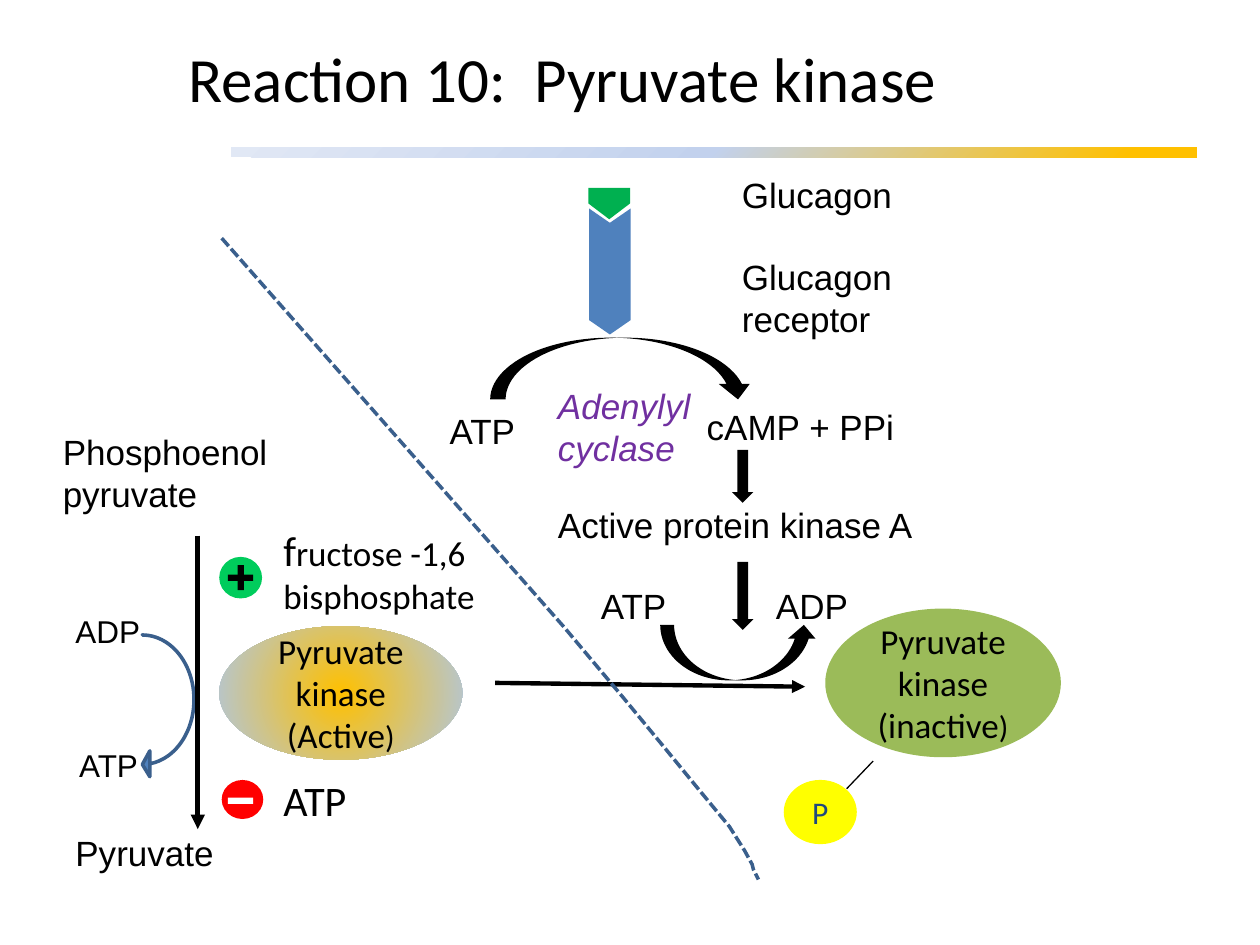
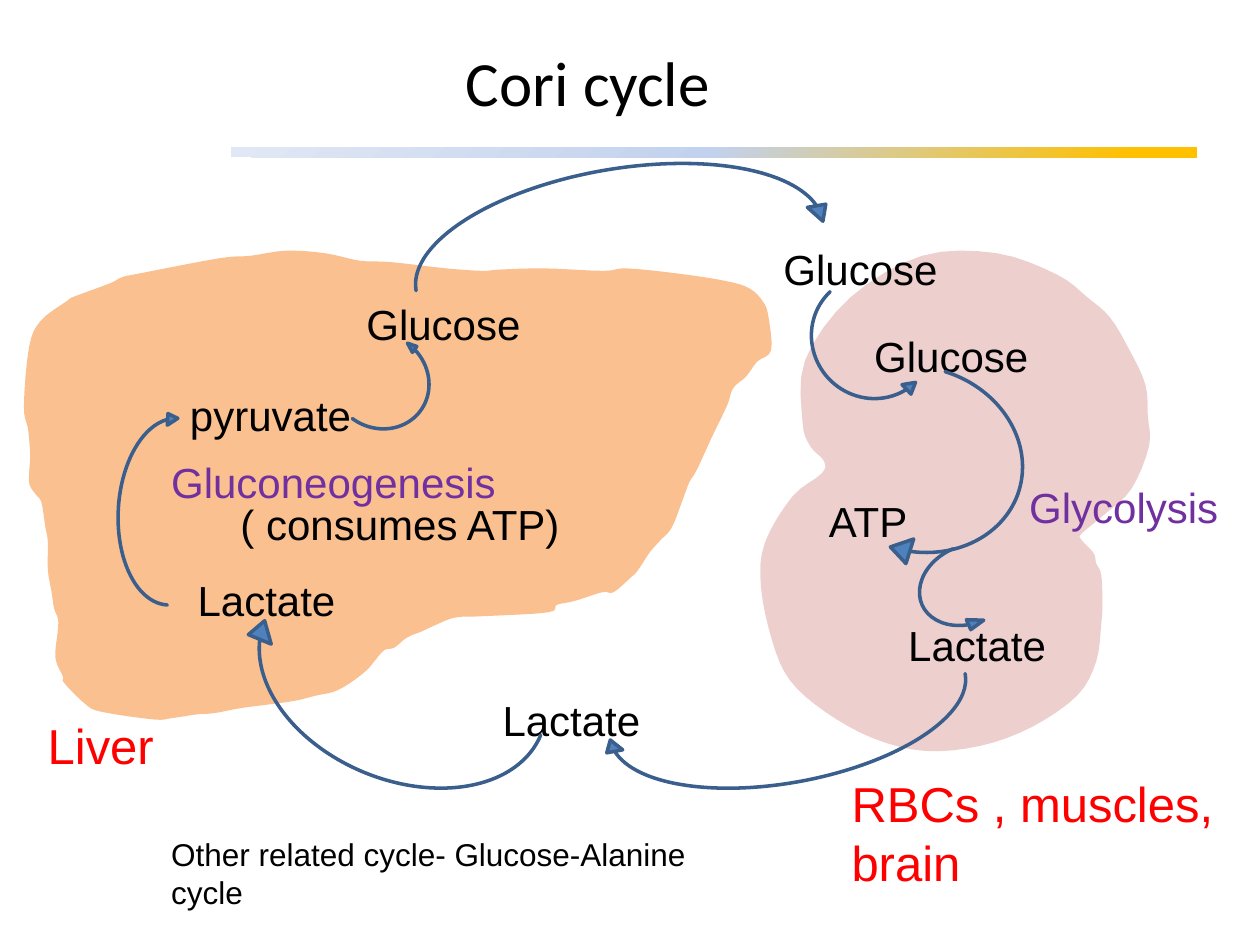
from typing import NamedTuple

from lxml.etree import SubElement
from pptx import Presentation
from pptx.dml.color import RGBColor as Rgb
from pptx.enum.dml import MSO_LINE as Dash
from pptx.enum.shapes import MSO_CONNECTOR as Link, MSO_SHAPE as Kind
from pptx.enum.text import MSO_ANCHOR as Anchor, PP_ALIGN as Align
from pptx.oxml import parse_xml
from pptx.oxml.ns import nsdecls, qn
from pptx.util import Emu, Pt

PX = 9144  # 100 px to the inch
HUE = {
    "black": "000000", "white": "FFFFFF", "red": "FF0000", "purple": "7030A0",
    "blue": "4F81BD", "navy": "3A5F8C", "ink": "1F497D", "green": "00B050",
    "lime": "00CC5C", "olive": "9BBB59", "yellow": "FFFF00", "gold": "FFC000",
    "mist": "C2D1ED", "pale": "E1E8F5", "steel": "B0C6E1",
    "liver": "FAC090", "muscle": "D99694",
}


class Label(NamedTuple):
    text: str
    x: int
    y: int
    w: int
    h: int
    size: int = 20
    color: str = "black"
    font: str = "Arial"
    italic: bool = False
    tail: str = ""
    tsize: int = 18


class Block(NamedTuple):
    kind: Kind
    x: int
    y: int
    w: int
    h: int
    fill: str = "black"
    rot: float = 0
    adj: tuple = ()
    flip: str = ""
    line: str = ""


class Line(NamedTuple):
    x1: int
    y1: int
    x2: int
    y2: int
    width: float
    head: bool = True


def arc(x: int, y: int, w: int, h: int, rot: float = 0, bend: float = 0.215,
        head: float = 0.187, flip: str = "", kind: Kind = Kind.CURVED_DOWN_ARROW) -> Block:
    """Thin curved arrow in the blue style."""
    return Block(kind, x, y, w, h, "blue", rot, (0, bend, head), flip, "navy")


def rgb(name: str) -> Rgb:
    return Rgb.from_string(HUE[name])


def px(*sizes: float) -> list:
    return [Emu(round(n * PX)) for n in sizes]


def put(frame, text: str, size: int = 20, color: str = "black", font: str = "Calibri",
        italic: bool = False, align: Align = Align.LEFT, anchor: Anchor = Anchor.TOP,
        tail: str = "", tsize: int = 18) -> None:
    """Write text, one paragraph a line, and a tail in its own size."""
    frame.word_wrap = True
    frame.vertical_anchor = anchor
    for i, row in enumerate(text.split("\n")):
        para = frame.paragraphs[0] if i == 0 else frame.add_paragraph()
        para.alignment = align
        for part, pts in ((row, size), (tail, tsize)):
            if not part:
                continue
            run = para.add_run()
            run.text = part
            run.font.name, run.font.size = font, Pt(pts)
            run.font.italic = italic
            run.font.color.rgb = rgb(color)


def note(slide, lab: Label) -> None:
    box = slide.shapes.add_textbox(*px(lab.x, lab.y, lab.w, lab.h))
    put(box.text_frame, lab.text, lab.size, lab.color, lab.font, lab.italic,
        tail=lab.tail, tsize=lab.tsize)


def draw(slide, item: Block):
    shape = slide.shapes.add_shape(item.kind, *px(item.x, item.y, item.w, item.h))
    shape.shadow.inherit = False
    shape.fill.solid()
    shape.fill.fore_color.rgb = rgb(item.fill)
    if item.line:
        shape.line.color.rgb = rgb(item.line)
        shape.line.width = Pt(2)
    else:
        shape.line.fill.background()
    for i, part in enumerate(item.adj):
        shape.adjustments[i] = part
    shape.rotation = item.rot
    for axis in item.flip:
        shape.element.spPr.xfrm.set("flip" + axis, "1")
    return shape


def blend(shape, stops: dict, left: int, right: int) -> None:
    """Replace the fill by a circular gradient around the given focus."""
    marks = "".join(f'<a:gs pos="{at * 1000}"><a:srgbClr val="{HUE[name]}"/></a:gs>'
                    for at, name in stops.items())
    a, b = left * 1000, right * 1000
    old = shape.element.spPr.find(qn("a:solidFill"))
    old.getparent().replace(old, parse_xml(
        f'<a:gradFill {nsdecls("a")}><a:gsLst>{marks}</a:gsLst><a:path path="circle">'
        f'<a:fillToRect l="{a}" t="{a}" r="{b}" b="{b}"/></a:path></a:gradFill>'))


def link(slide, item: Line) -> None:
    line = slide.shapes.add_connector(
        Link.STRAIGHT, *px(item.x1, item.y1, item.x2, item.y2))
    line.line.color.rgb = rgb("black")
    line.line.width = Pt(item.width)
    if item.head:
        SubElement(line.line._get_or_add_ln(), qn("a:tailEnd"), type="triangle")
    SubElement(line.element.spPr, qn("a:effectLst"))


def smooth(dots: list, steps: int = 4) -> list:
    """Closed Catmull-Rom curve through the dots."""
    out = []
    for i in range(len(dots)):
        ring = [dots[(i + k) % len(dots)] for k in (-1, 0, 1, 2)]
        for t in (s / steps for s in range(steps)):
            out.append(tuple(
                (2 * b + (c - a) * t + (2 * a - 5 * b + 4 * c - d) * t ** 2
                 + (3 * b - a - 3 * c + d) * t ** 3) / 2
                for a, b, c, d in zip(*ring)))
    return out


def trace(slide, dots: list, close: bool):
    first, *rest = [px(*dot) for dot in dots]
    pen = slide.shapes.build_freeform(*first, scale=1.0)
    pen.add_line_segments(rest, close=close)
    shape = pen.convert_to_shape()
    shape.shadow.inherit = False
    return shape


def organ(slide, dots: list, color: str, alpha: int = 100) -> None:
    shape = trace(slide, smooth(dots), True)
    shape.line.fill.background()
    shape.fill.solid()
    shape.fill.fore_color.rgb = rgb(color)
    if alpha < 100:
        tone = shape.element.spPr.find(qn("a:solidFill"))[0]
        SubElement(tone, qn("a:alpha"), val=str(alpha * 1000))


def start(deck, title: str, x: int, y: int, anchor: Anchor):
    """Add a slide with the title and the gradient band."""
    slide = deck.slides.add_slide(deck.slide_layouts[5])
    band = draw(slide, Block(Kind.RECTANGLE, 183, 117, 767, 8))
    blend(band, {7: "gold", 50: "mist", 100: "pale"}, 100, 0)
    head = slide.shapes.title
    head.left, head.top, head.width, head.height = px(x, y, 817, 125)
    put(head.text_frame, title, 36, align=Align.CENTER, anchor=anchor)
    return slide


BLOCKS = [
    Block(Kind.PENTAGON, 471, 145, 25, 33, "green", 90),
    Block(Kind.CHEVRON, 434, 199, 100, 33, "blue", 90, (0.346,)),
    Block(Kind.CURVED_DOWN_ARROW, 389, 268, 209, 49),
    Block(Kind.DOWN_ARROW, 581, 357, 17, 42),
    Block(Kind.DOWN_ARROW, 581, 446, 17, 54),
    Block(Kind.CURVED_UP_ARROW, 524, 496, 125, 44),
    arc(113, 504, 41, 113, bend=0.5, head=0.145, kind=Kind.CURVED_LEFT_ARROW),
    Block(Kind.OVAL, 174, 442, 34, 33, "lime"),
    Block(Kind.RECTANGLE, 181, 456, 20, 5),
    Block(Kind.RECTANGLE, 181, 456, 20, 5, rot=90),
    Block(Kind.OVAL, 176, 619, 33, 31, "red"),
    Block(Kind.RECTANGLE, 181, 633, 20, 5, "white"),
]
ACTIVE = Block(Kind.OVAL, 174, 497, 193, 106)
IDLE = Block(Kind.OVAL, 655, 483, 187, 118, "olive")
PHOS = Block(Kind.OVAL, 622, 619, 58, 51, "yellow")
LINES = [
    Line(393, 542, 639, 545, 2.5),
    Line(157, 425, 157, 658, 2.75),
    Line(672, 626, 693, 604, 0.75, False),
]
SPLIT = [(176, 189), (448, 498), (495, 554), (528, 594), (555, 627), (579, 656),
         (591, 675), (597, 686), (598, 690), (602, 698)]
STEPS = [
    Label("ATP", 347, 320, 76, 44),
    Label("cAMP + PPi", 551, 317, 175, 44),
    Label("Active protein kinase A", 433, 395, 324, 44),
    Label("Phosphoenol pyruvate", 40, 337, 204, 77),
    Label("Pyruvate", 50, 655, 204, 44),
    Label("ADP", 50, 481, 77, 40, 18),
    Label("ATP", 53, 587, 77, 40, 18),
    Label("Glucagon receptor", 579, 198, 186, 77),
    Label("Glucagon", 579, 133, 153, 44),
    Label("Adenylyl\ncyclase", 433, 300, 137, 77, color="purple", italic=True),
    Label("ATP", 467, 459, 72, 44),
    Label("ADP", 606, 459, 99, 44),
    Label("f", 215, 411, 193, 84, 24, font="Calibri",
          tail="ructose -1,6 bisphosphate", tsize=20),
    Label("ATP", 215, 610, 193, 50, 24, font="Calibri"),
]

LIVER = [
    (258, 201), (227, 199), (199, 203), (174, 205), (111, 217), (97, 220), (87, 225),
    (60, 235), (53, 239), (32, 255), (23, 276), (19, 322), (22, 339), (23, 347),
    (24, 362), (23, 378), (24, 386), (29, 393), (33, 399), (36, 418), (38, 430),
    (38, 452), (41, 470), (43, 483), (46, 491), (46, 500), (44, 522), (50, 537),
    (51, 542), (68, 559), (81, 565), (122, 571), (136, 570), (156, 567), (170, 566),
    (191, 562), (214, 559), (235, 556), (251, 552), (265, 549), (278, 542), (291, 532),
    (297, 525), (305, 516), (313, 514), (323, 506), (335, 501), (348, 495), (362, 490),
    (385, 489), (435, 486), (442, 480), (456, 477), (478, 470), (487, 470), (501, 458),
    (506, 453), (516, 438), (524, 429), (533, 419), (541, 399), (547, 383), (553, 373),
    (565, 347), (577, 322), (582, 308), (592, 299), (601, 287), (612, 278), (610, 252),
    (606, 240), (595, 229), (576, 223), (537, 217), (497, 213), (479, 215), (432, 213),
    (396, 214), (383, 215), (354, 213), (310, 208), (286, 207),
]
MUSCLE = [
    (791, 201), (732, 203), (675, 236), (639, 286), (637, 335), (643, 354), (654, 366),
    (652, 376), (629, 394), (607, 431), (604, 466), (613, 509), (627, 540), (655, 565),
    (693, 586), (734, 596), (778, 592), (819, 577), (855, 552), (870, 525), (874, 496),
    (875, 478), (874, 456), (870, 447), (868, 439), (858, 428), (859, 423), (877, 408),
    (898, 388), (912, 354), (911, 330), (909, 305), (896, 277), (881, 252), (863, 236),
    (839, 218),
]
ARCS = [
    arc(39, 381, 153, 43, 93.3, flip="HV"),
    arc(322, 134, 335, 69, 350.3),
    arc(718, 454, 66, 40, 66.4, head=0.312, flip="V"),
    arc(689, 340, 156, 84, 107.4, bend=0.243),
    arc(625, 262, 104, 48, 46.6, flip="V"),
    arc(481, 561, 293, 60, 169.4, head=0.158),
    arc(176, 533, 247, 81, 202.5, bend=0.243),
    arc(280, 293, 77, 40, 306.2, bend=0.147, flip="V"),
]
CYCLE = [
    Label("Glucose", 281, 232, 233, 45, 24),
    Label("Gluconeogenesis", 126, 357, 282, 45, 24, "purple"),
    Label("( consumes ATP)", 181, 391, 295, 50, 24),
    Label("Lactate", 147, 451, 233, 50, 24),
    Label("Lactate", 389, 546, 224, 50, 24),
    Label("Glucose", 612, 188, 233, 45, 24),
    Label("Glucose", 684, 257, 154, 45, 24),
    Label("ATP", 648, 388, 112, 50, 24),
    Label("Lactate", 711, 487, 182, 50, 24),
    Label("Glycolysis", 807, 377, 177, 45, 24, "purple"),
    Label("RBCs , muscles, brain", 666, 609, 345, 104, 28, "red"),
    Label("Liver", 28, 563, 345, 57, 28, "red"),
    Label("pyruvate", 141, 304, 233, 50, 24),
    Label("Other related cycle- Glucose-Alanine cycle", 126, 658, 448, 71, 18),
]


def kinase(deck) -> None:
    slide = start(deck, "Reaction 10:  Pyruvate kinase", 38, 26, Anchor.TOP)
    mid = {"align": Align.CENTER, "anchor": Anchor.MIDDLE}
    oval = draw(slide, ACTIVE)
    blend(oval, {0: "gold", 100: "steel"}, 50, 50)
    put(oval.text_frame, "Pyruvate kinase (Active", tail=")", **mid)
    put(draw(slide, IDLE).text_frame, "Pyruvate kinase (inactive", tail=")", **mid)
    put(draw(slide, PHOS).text_frame, "P", 18, "ink", **mid)
    for item in BLOCKS:
        draw(slide, item)
    for item in LINES:
        link(slide, item)
    for lab in STEPS:
        note(slide, lab)
    split = trace(slide, SPLIT, False)
    split.fill.background()
    split.line.color.rgb = rgb("navy")
    split.line.width = Pt(2)
    split.line.dash_style = Dash.SQUARE_DOT


def cori(deck) -> None:
    slide = start(deck, "Cori cycle", 58, 2, Anchor.MIDDLE)
    organ(slide, LIVER, "liver")
    organ(slide, MUSCLE, "muscle", 45)
    for lab in CYCLE:
        note(slide, lab)
    for item in ARCS:
        draw(slide, item)


def main() -> None:
    deck = Presentation()
    deck.slide_width, deck.slide_height = px(1000, 750)
    kinase(deck)
    cori(deck)
    deck.save("out.pptx")


if __name__ == "__main__":
    main()
